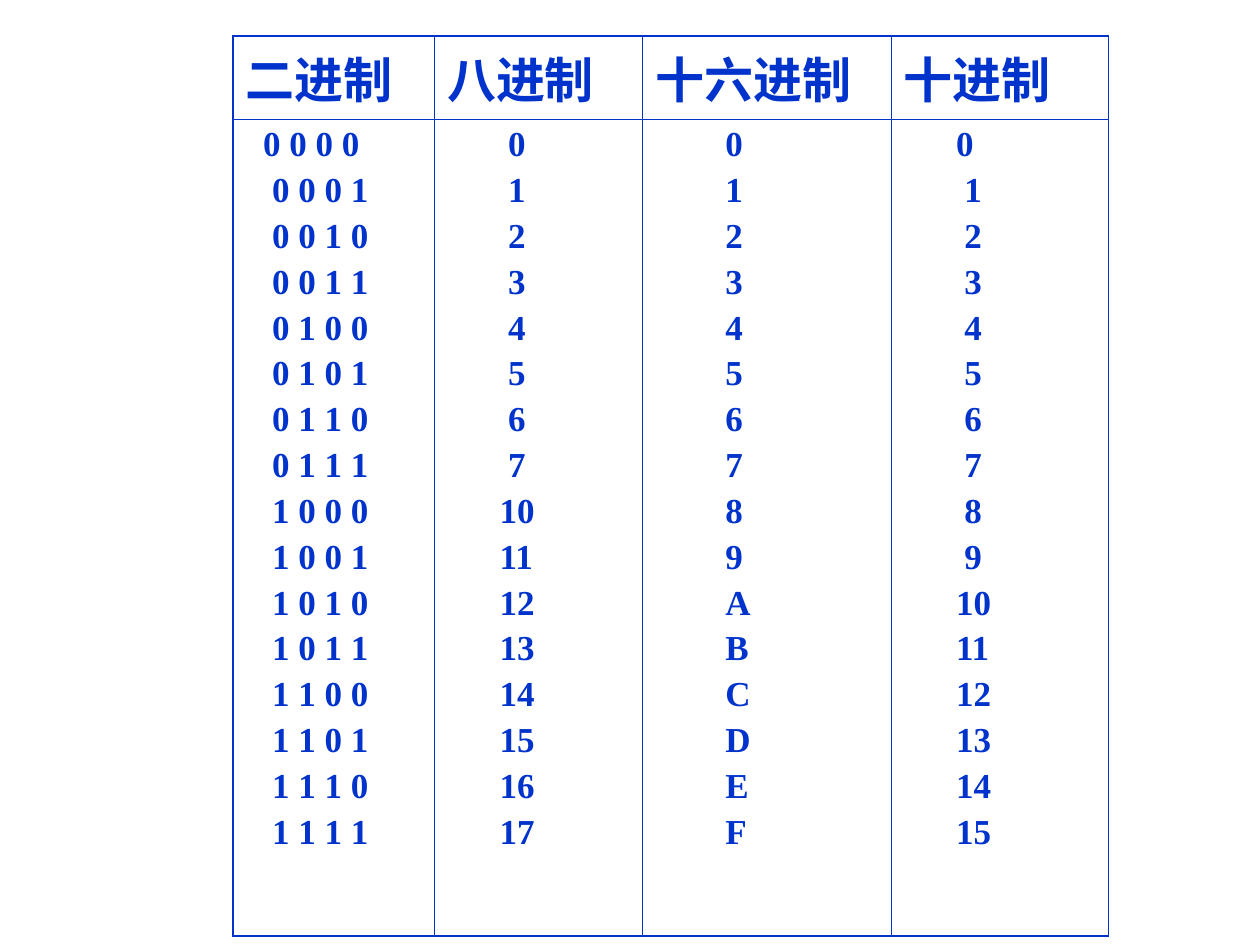
from lxml.etree import SubElement
from pptx import Presentation
from pptx.dml.color import RGBColor
from pptx.oxml.ns import qn
from pptx.util import Cm, Pt

BLUE = RGBColor(0x00, 0x33, 0xCC)
THIN, THICK = Pt(0.45), Pt(1.08)
HEADER_FONT = {"name": "Arial", "size": Pt(28), "bold": True}
BODY_FONT = {"name": "Times New Roman", "size": Pt(20), "bold": True}
COLUMN_WIDTHS = [Cm(4.06), Cm(4.2), Cm(5), Cm(4.39)]
ROW_HEIGHTS = [Cm(1.45), Cm(16.46)]
HEADINGS = ["二进制", "八进制", "十六进制", "十进制"]
NUMBERS = range(16)
BINARY = [" ".join(f"{number:04b}") for number in NUMBERS]
OCTAL = [f"{number:o}" for number in NUMBERS]
HEXADECIMAL = [f"{number:X}" for number in NUMBERS]
DECIMAL = [str(number) for number in NUMBERS]


def body_columns():
    """Return the values of each column with the indent of each value."""
    near, middle = Cm(1.06), Cm(1.23)
    octal_indents = [middle if len(value) == 1 else near for value in OCTAL]
    decimal_indents = [middle if len(value) == 1 else near for value in DECIMAL]
    decimal_indents[0] = near
    return [
        list(zip(BINARY, [Cm(0.35)] + [Cm(0.53)] * 15)),
        list(zip(OCTAL, octal_indents)),
        [(value, Cm(1.41)) for value in HEXADECIMAL],
        list(zip(DECIMAL, decimal_indents)),
    ]


def write_line(para, text, indent, font_format):
    """Write one indented line with a fifth of a line above it."""
    properties = para._p.get_or_add_pPr()
    properties.set("marL", str(int(indent)))
    properties.set("indent", "0")
    spacing = SubElement(properties, qn("a:spcBef"))
    SubElement(spacing, qn("a:spcPct")).set("val", "20000")
    span = para.add_run()
    span.text = text
    for name, value in font_format.items():
        setattr(span.font, name, value)
    span.font.color.rgb = BLUE


def fill_cell(cell, lines, font_format):
    """Write the lines of a cell, one paragraph each."""
    frame = cell.text_frame
    for number, (text, indent) in enumerate(lines):
        para = frame.add_paragraph() if number else frame.paragraphs[0]
        write_line(para, text, indent, font_format)


def draw_borders(cell, widths):
    """Draw the four sides of a cell and leave it unfilled."""
    properties = cell._tc.get_or_add_tcPr()
    for side, width in widths.items():
        line = SubElement(properties, qn(f"a:ln{side}"), w=str(int(width)))
        fill = SubElement(line, qn("a:solidFill"))
        SubElement(fill, qn("a:srgbClr")).set("val", str(BLUE))
    cell.fill.background()


def add_number_table(page):
    """Add the table that compares the four number systems."""
    frame = page.shapes.add_table(
        len(ROW_HEIGHTS), len(COLUMN_WIDTHS), Cm(4.7), Cm(0.72),
        sum(COLUMN_WIDTHS), sum(ROW_HEIGHTS))
    table = frame.table
    table.first_row = table.horz_banding = False
    for column, width in zip(table.columns, COLUMN_WIDTHS):
        column.width = width
    for row, height in zip(table.rows, ROW_HEIGHTS):
        row.height = height
    last = len(COLUMN_WIDTHS) - 1
    for index, (heading, lines) in enumerate(zip(HEADINGS, body_columns())):
        sides = {"L": THIN if index else THICK,
                 "R": THICK if index == last else THIN}
        header, body = table.cell(0, index), table.cell(1, index)
        fill_cell(header, [(heading, Cm(0))], HEADER_FONT)
        draw_borders(header, {**sides, "T": THICK, "B": THIN})
        fill_cell(body, lines, BODY_FONT)
        draw_borders(body, {**sides, "T": THIN, "B": THICK})


def main():
    """Build the slide and save the deck."""
    deck = Presentation()
    deck.slide_width, deck.slide_height = Cm(25.4), Cm(19.05)
    page = deck.slides.add_slide(deck.slide_layouts[6])
    add_number_table(page)
    deck.save("out.pptx")


if __name__ == "__main__":
    main()
